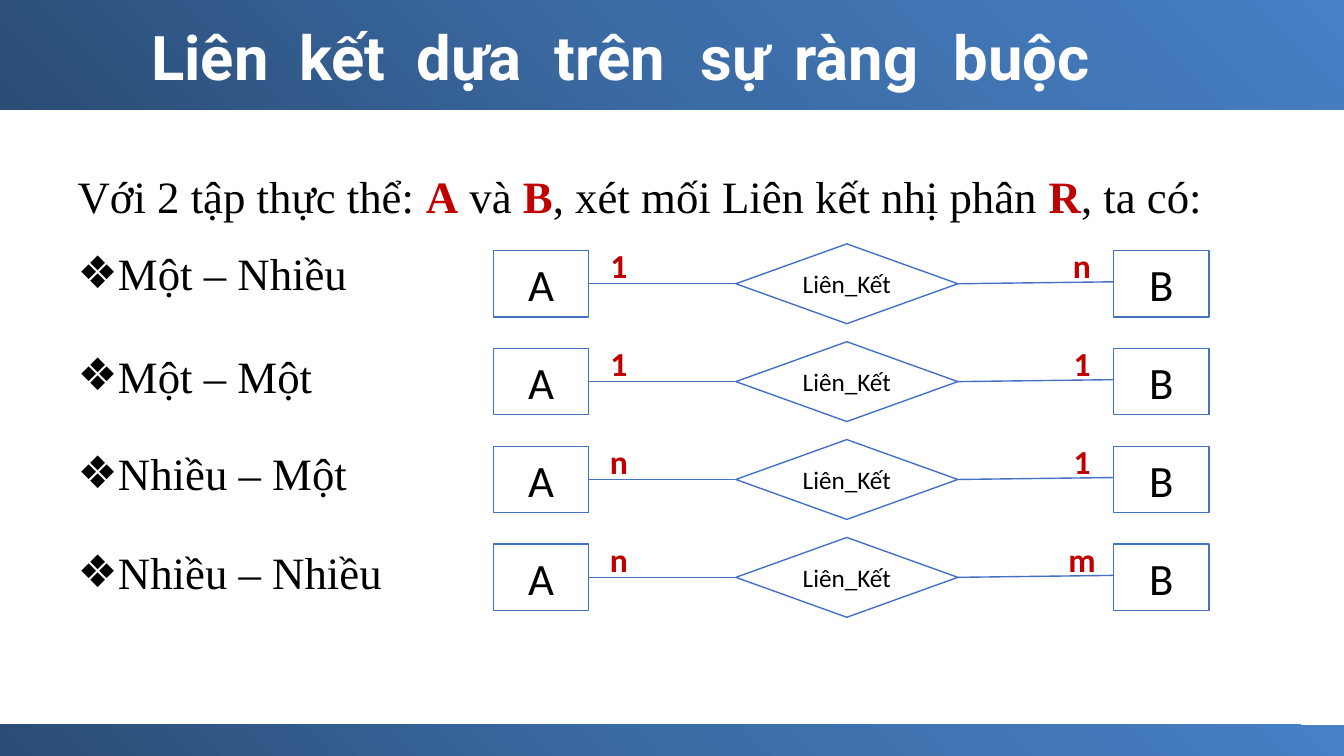
"""Builds a slide on the cardinality constraints of a binary relationship."""
from dataclasses import dataclass

from pptx import Presentation
from pptx.dml.color import RGBColor
from pptx.enum.shapes import MSO_CONNECTOR, MSO_SHAPE
from pptx.enum.text import MSO_ANCHOR, PP_ALIGN
from pptx.oxml import parse_xml
from pptx.oxml.ns import nsdecls
from pptx.shapes.autoshape import Shape
from pptx.shapes.connector import Connector
from pptx.slide import Slide
from pptx.text.text import TextFrame, _Paragraph
from pptx.util import Pt


@dataclass(frozen=True)
class Theme:
    black: str = "000000"
    white: str = "FFFFFF"
    red: str = "C00000"
    blue: str = "4471C4"
    fade: tuple[tuple[int, str], ...] = ((0, "2A4C75"), (50, "3C6CA6"), (100, "4780C5"))
    head: int = 44
    body: int = 32
    mark: int = 24
    small: int = 18
    title: str = "Roboto"
    serif: str = "Times New Roman"
    sans: str = "Calibri"
    sign: str = "Arial"


@dataclass(frozen=True)
class Style:
    font: str
    size: int
    color: str
    bold: bool = False


@dataclass(frozen=True)
class Box:
    left: float
    top: float
    width: float
    height: float


@dataclass(frozen=True)
class Row:
    label: str
    top: float
    near: str
    far: str


THEME = Theme()
HEAD = Style(THEME.title, THEME.head, THEME.white, True)
BODY = Style(THEME.serif, THEME.body, THEME.black)
KEY = Style(THEME.serif, THEME.body, THEME.red, True)
SET = Style(THEME.sans, THEME.body, THEME.black)
LINK = Style(THEME.sans, THEME.small, THEME.black)
MARK = Style(THEME.sans, THEME.mark, THEME.red, True)

BARS = (Box(0, 0, 960, 78), Box(0, 517.7, 960, 22.3))
TITLE = ("Liên", "kết", "dựa", "trên", "sự", "ràng", "buộc")
STOPS = (105.8, 189.4, 288, 392.4, 459.4, 573.1)
INTRO = (
    ("Với 2 tập thực thể: ", BODY), ("A", KEY), (" và ", BODY), ("B", KEY),
    (", xét mối Liên kết nhị phân ", BODY), ("R", KEY), (", ta có:", BODY),
)
ROWS = (
    Row("Một – Nhiều", 178.7, "1", "n"),
    Row("Một – Một", 252, "1", "1"),
    Row("Nhiều – Một", 321.8, "n", "1"),
    Row("Nhiều – Nhiều", 392.4, "n", "m"),
)
FIRST, PITCH = 179, 69.9
SLOPE = 1.4


def add_run(para: _Paragraph, text: str, style: Style) -> None:
    """Add one styled run to a paragraph."""
    run = para.add_run()
    run.text = text
    font = run.font
    font.name, font.size, font.bold = style.font, Pt(style.size), style.bold
    font.color.rgb = RGBColor.from_string(style.color)


def clear(frame: TextFrame) -> None:
    """Set every inset of a text frame to zero."""
    frame.margin_left = frame.margin_right = Pt(0)
    frame.margin_top = frame.margin_bottom = Pt(0)


def add_text(slide: Slide, box: Box, lead: float) -> _Paragraph:
    """Add a text box and return its paragraph, set to a fixed line height."""
    frame = slide.shapes.add_textbox(
        Pt(box.left), Pt(box.top), Pt(box.width), Pt(box.height)).text_frame
    clear(frame)
    frame.word_wrap = True
    para = frame.paragraphs[0]
    para.line_spacing = Pt(lead)
    return para


def add_form(slide: Slide, kind: MSO_SHAPE, box: Box) -> Shape:
    """Add a preset shape without a shadow."""
    shape = slide.shapes.add_shape(
        kind, Pt(box.left), Pt(box.top), Pt(box.width), Pt(box.height))
    shape.shadow.inherit = False
    return shape


def add_bar(slide: Slide, box: Box) -> None:
    """Add a band with a radial fade from its lower left corner."""
    bar = add_form(slide, MSO_SHAPE.RECTANGLE, box)
    stops = "".join(
        f'<a:gs pos="{spot * 1000}"><a:srgbClr val="{color}"/></a:gs>'
        for spot, color in THEME.fade)
    fade = parse_xml(
        f'<a:gradFill {nsdecls("a")} rotWithShape="1"><a:gsLst>{stops}</a:gsLst>'
        '<a:path path="circle"><a:fillToRect t="100000" r="100000"/></a:path>'
        '</a:gradFill>')
    bar._element.spPr.insert(2, fade)
    bar.line.fill.background()


def add_node(slide: Slide, kind: MSO_SHAPE, box: Box, text: str, style: Style) -> Shape:
    """Add an outlined shape with a centred label."""
    node = add_form(slide, kind, box)
    node.fill.solid()
    node.fill.fore_color.rgb = RGBColor.from_string(THEME.white)
    node.line.color.rgb = RGBColor.from_string(THEME.blue)
    node.line.width = Pt(1)
    frame = node.text_frame
    clear(frame)
    frame.word_wrap = False
    frame.vertical_anchor = MSO_ANCHOR.MIDDLE
    para = frame.paragraphs[0]
    para.alignment = PP_ALIGN.CENTER
    add_run(para, text, style)
    return node


def add_line(slide: Slide, start: Shape, end: Shape, lift: float = 0) -> Connector:
    """Draw a line from the right of one shape to the left of the next."""
    line = slide.shapes.add_connector(
        MSO_CONNECTOR.STRAIGHT, start.left + start.width, start.top + start.height // 2,
        end.left, end.top + end.height // 2 - Pt(lift))
    line.begin_connect(start, 3)
    if not lift:
        line.end_connect(end, 1)
    line.line.color.rgb = RGBColor.from_string(THEME.blue)
    line.line.width = Pt(1)
    line._element.spPr.append(parse_xml(f'<a:effectLst {nsdecls("a")}/>'))
    return line


def add_mark(slide: Slide, mid: float, top: float, text: str) -> None:
    """Add a cardinality mark centred on a given place."""
    para = add_text(slide, Box(mid - 14, top, 28, 25), 25)
    para.alignment = PP_ALIGN.CENTER
    add_run(para, text, MARK)


def add_label(slide: Slide, row: Row) -> None:
    """Add the bulleted name of a row."""
    para = add_text(slide, Box(55.4, row.top + 1.4, 260, 34), 33.9)
    props = para._p.get_or_add_pPr()
    props.set("marL", str(Pt(28.9)))
    props.set("indent", str(-Pt(28.9)))
    props.append(parse_xml(f'<a:buFont {nsdecls("a")} typeface="{THEME.sign}"/>'))
    props.append(parse_xml(f'<a:buChar {nsdecls("a")} char="❖"/>'))
    add_run(para, row.label, BODY)


def add_row(slide: Slide, row: Row, top: float) -> None:
    """Draw a row with its name, shapes, lines and marks."""
    add_label(slide, row)
    left = add_node(slide, MSO_SHAPE.RECTANGLE, Box(352.4, top, 68, 47.4), "A", SET)
    link = add_node(slide, MSO_SHAPE.DIAMOND, Box(525.6, top - 4.8, 158.6, 57),
                    "Liên_Kết", LINK)
    right = add_node(slide, MSO_SHAPE.RECTANGLE, Box(795.5, top, 68, 47.4), "B", SET)
    add_line(slide, left, link)
    add_line(slide, link, right, SLOPE)
    add_mark(slide, 442.1, top, row.near)
    add_mark(slide, 772.9, top, row.far)


def add_title(slide: Slide) -> None:
    """Add the title, its words set on tab stops."""
    para = add_text(slide, Box(108, 20, 720, 46), 46)
    tabs = "".join(f'<a:tab pos="{Pt(stop)}" algn="l"/>' for stop in STOPS)
    para._p.get_or_add_pPr().append(
        parse_xml(f'<a:tabLst {nsdecls("a")}>{tabs}</a:tabLst>'))
    add_run(para, "\t".join(TITLE), HEAD)


def main() -> None:
    """Build the slide and save it."""
    deck = Presentation()
    deck.slide_width, deck.slide_height = Pt(960), Pt(540)
    slide = deck.slides.add_slide(deck.slide_layouts[6])
    for bar in BARS:
        add_bar(slide, bar)
    add_title(slide)
    intro = add_text(slide, Box(55.4, 125.2, 840, 34), 33.7)
    for text, style in INTRO:
        add_run(intro, text, style)
    for rank, row in enumerate(ROWS):
        add_row(slide, row, FIRST + rank * PITCH)
    deck.save("out.pptx")


if __name__ == "__main__":
    main()
